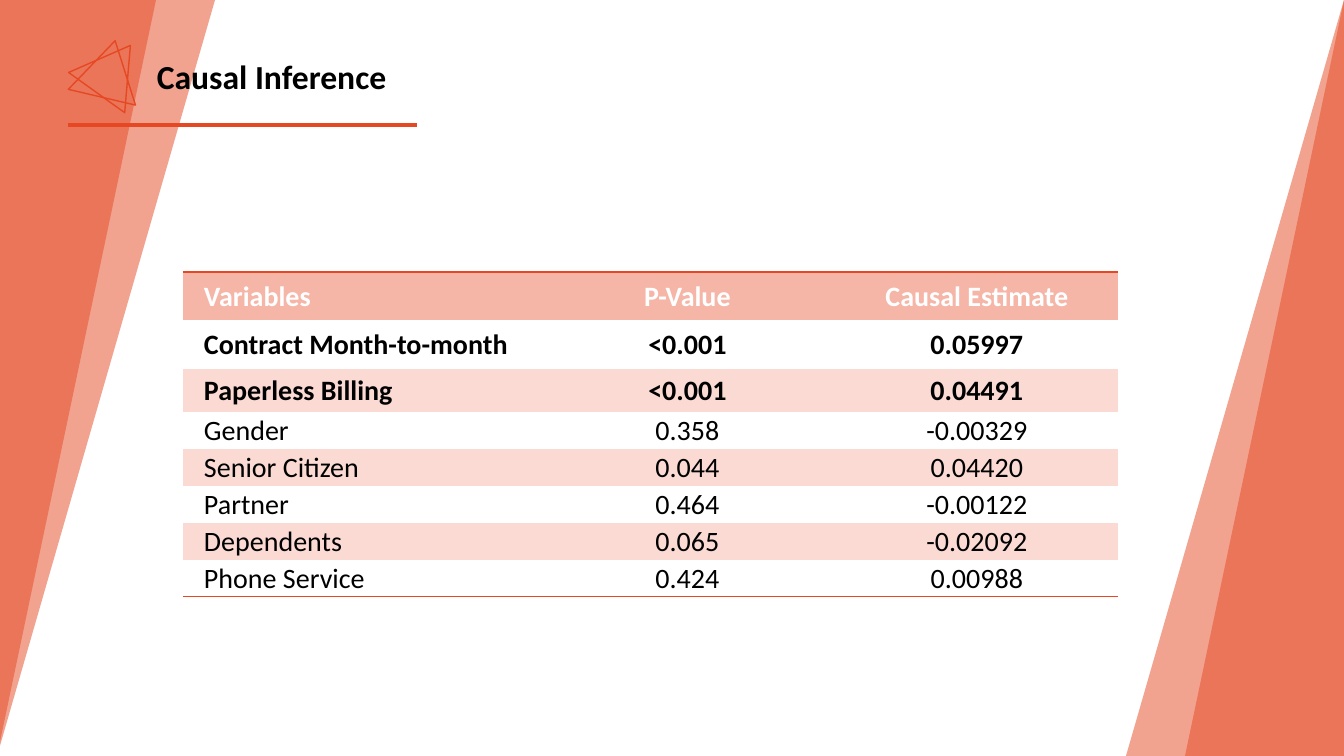
from lxml import etree
from pptx import Presentation, util as u
from pptx.dml.color import RGBColor
from pptx.enum import shapes, text
from pptx.oxml import ns

ACCENT = RGBColor(0xE6, 0x48, 0x23)
HEADER = RGBColor(0xF5, 0xB6, 0xA7)
BAND = RGBColor(0xFA, 0xDA, 0xD3)
WHITE = RGBColor(0xFF, 0xFF, 0xFF)
BLACK = RGBColor(0, 0, 0)

WIDTH, HEIGHT = 1344, 756
PLAIN_TABLE_STYLE = "{2D5ABB26-0587-4C30-8999-92F81FD0307C}"

ESTIMATES = [
    ("Variables", "P-Value", "Causal Estimate"),
    ("Contract Month-to-month", "<0.001", "0.05997"),
    ("Paperless Billing", "<0.001", "0.04491"),
    ("Gender", "0.358", "-0.00329"),
    ("Senior Citizen", "0.044", "0.04420"),
    ("Partner", "0.464", "-0.00122"),
    ("Dependents", "0.065", "-0.02092"),
    ("Phone Service", "0.424", "0.00988"),
]
COLUMN_WIDTHS = [356, 277, 302]
ROW_HEIGHTS = [48, 49, 43] + [37] * 5
SIGNIFICANT_ROWS = 2


def px(length):
    return u.Emu(round(length * 914400 / 100.8))


def apply(target, values):
    for name, value in values.items():
        setattr(target, name, value)


def add_color(parent, color):
    fill = etree.SubElement(parent, ns.qn("a:solidFill"))
    etree.SubElement(fill, ns.qn("a:srgbClr"), val=str(color))


class SlideBuilder:
    font = "Calibri"

    def __init__(self, slide):
        self.slide = slide

    def triangle(self, left, top, width, height, rotation=0):
        triangle = self.slide.shapes.add_shape(
            shapes.MSO_SHAPE.ISOSCELES_TRIANGLE, *map(px, (left, top, width, height)))
        triangle.rotation = rotation
        triangle.shadow.inherit = False
        return triangle

    def edge_wedge(self, left, width, rotation=0):
        """Half-transparent right triangle over the full slide height."""
        wedge = self.triangle(left, 0, width, HEIGHT, rotation)
        wedge.adjustments[0] = 1
        wedge.line.fill.background()
        wedge.fill.solid()
        wedge.fill.fore_color.rgb = ACCENT
        color = wedge._element.spPr.find(".//" + ns.qn("a:srgbClr"))
        etree.SubElement(color, ns.qn("a:alpha"), val="50000")

    def outline_triangle(self, left, top, width, height, rotation):
        outline = self.triangle(left, top, width, height, rotation)
        outline.fill.background()
        outline.line.color.rgb = ACCENT
        outline.line.width = u.Pt(1)

    def rule(self, left, right, y):
        rule = self.slide.shapes.add_connector(
            shapes.MSO_CONNECTOR.STRAIGHT, *map(px, (left, y, right, y)))
        rule.line.color.rgb = ACCENT
        rule.line.width = u.Pt(3)
        etree.SubElement(rule._element.spPr, ns.qn("a:effectLst"))

    def add_words(self, paragraph, words, size, color, bold):
        run = paragraph.add_run()
        run.text = words
        apply(run.font, {"name": self.font, "size": u.Pt(size), "bold": bold})
        run.font.color.rgb = color

    def title(self, words, left, top, width, height):
        frame = self.slide.shapes.add_textbox(
            *map(px, (left, top, width, height))).text_frame
        apply(frame, {"word_wrap": True, "vertical_anchor": text.MSO_ANCHOR.MIDDLE})
        frame.paragraphs[0].line_spacing = 0.9
        self.add_words(frame.paragraphs[0], words, 24, BLACK, True)

    def table(self, rows, left, top, widths, heights):
        table = self.slide.shapes.add_table(
            len(rows), len(widths),
            *map(px, (left, top, sum(widths), sum(heights)))).table
        apply(table, {"first_row": False, "horz_banding": False})
        table._tbl.tblPr.find(ns.qn("a:tableStyleId")).text = PLAIN_TABLE_STYLE
        for column, width in zip(table.columns, widths):
            column.width = px(width)
        for r, (values, height) in enumerate(zip(rows, heights)):
            table.rows[r].height = px(height)
            fill = HEADER if r == 0 else BAND if r % 2 == 0 else None
            for c, value in enumerate(values):
                cell = table.cell(r, c)
                self.cell(cell, fill)
                paragraph = cell.text_frame.paragraphs[0]
                if c:
                    paragraph.alignment = text.PP_ALIGN.CENTER
                self.add_words(paragraph, value, 20, BLACK if r else WHITE,
                               r <= SIGNIFICANT_ROWS)
                if r == 0:
                    self.border(cell, "a:lnT")
                if r == len(rows) - 1:
                    self.border(cell, "a:lnB")

    def cell(self, cell, fill):
        apply(cell, {
            "vertical_anchor": text.MSO_ANCHOR.MIDDLE,
            "margin_left": px(21), "margin_right": px(1),
            "margin_top": px(1), "margin_bottom": 0,
        })
        if fill is None:
            cell.fill.background()
        else:
            cell.fill.solid()
            cell.fill.fore_color.rgb = fill

    def border(self, cell, side):
        line = etree.Element(ns.qn(side), w=str(int(u.Pt(1))))
        add_color(line, ACCENT)
        cell._tc.get_or_add_tcPr().insert(0, line)


def main():
    deck = Presentation()
    apply(deck, {"slide_width": px(WIDTH), "slide_height": px(HEIGHT)})
    builder = SlideBuilder(deck.slides.add_slide(deck.slide_layouts[6]))

    for width in (159, 218):
        builder.edge_wedge(-3, width, rotation=180)
    for width in (159, 218):
        builder.edge_wedge(WIDTH - width, width)
    for left, rotation in ((79, 35.6), (74, 13.2)):
        builder.outline_triangle(left, 40, 69, 58, rotation)

    builder.rule(68, 417, 125)
    builder.title("Causal Inference", 147, 57, 447, 43)
    builder.table(ESTIMATES, 183, 272, COLUMN_WIDTHS, ROW_HEIGHTS)
    deck.save("out.pptx")


if __name__ == "__main__":
    main()
